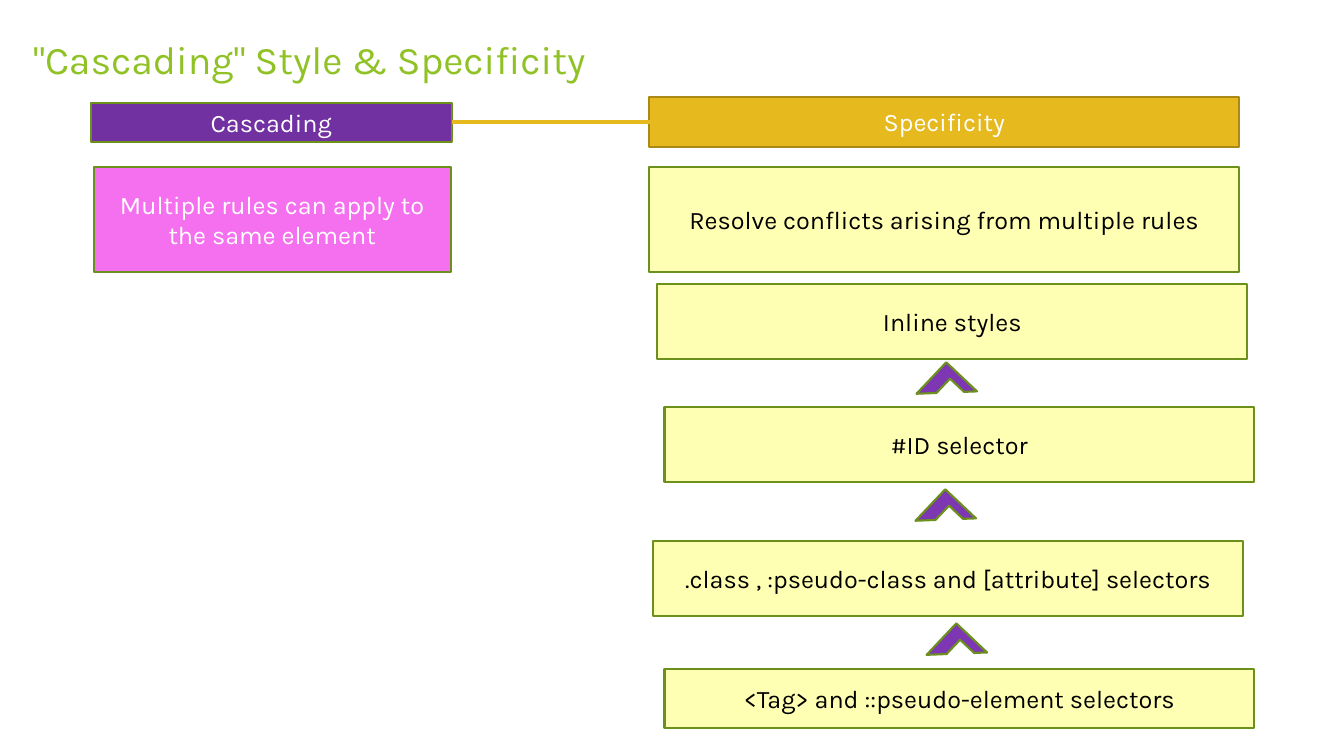
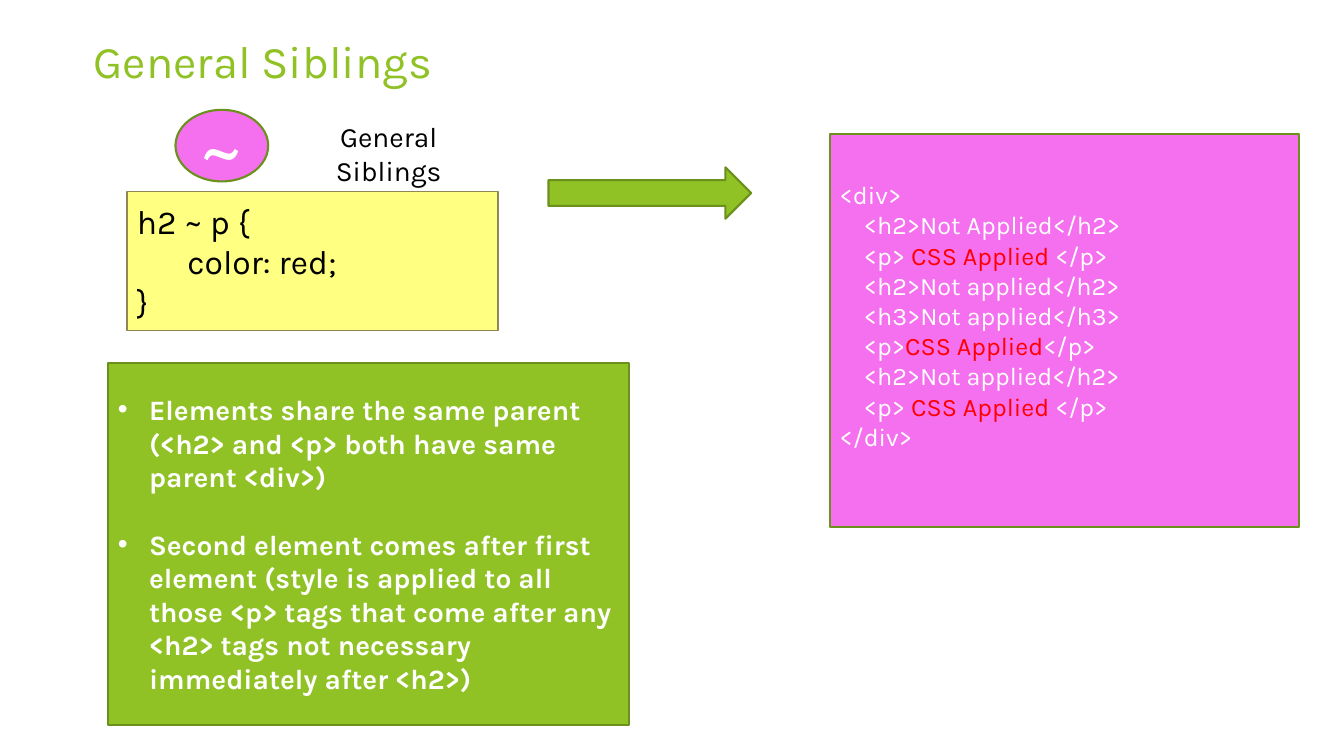
from lxml import etree
from pptx import Presentation
from pptx.dml.color import RGBColor
from pptx.enum.shapes import MSO_CONNECTOR as Connector, MSO_SHAPE as Shape
from pptx.enum.text import MSO_ANCHOR as Anchor, PP_ALIGN as Align
from pptx.oxml.ns import qn
from pptx.util import Inches, Pt

FONT = "Karla"
GREEN, MOSS, PURPLE, VIOLET = "90C226", "6B901C", "7131A1", "7E37B3"
PINK, GOLD, BRONZE, OLIVE = "F470EE", "E6B91E", "AA8916", "918655"
CREAM, LEMON = "FFFFB3", "FFFF81"
WHITE, BLACK, RED = "FFFFFF", "000000", "FF0000"

RIGHT_COLUMN, RIGHT_WIDTH = 6.44, 5.85
INTRO_TOP, INTRO_HEIGHT = 1.66, 1.04
LINK_Y = 1.21
CHEVRON_WIDTH, CHEVRON_HEIGHT, CHEVRON_TURN = 0.42, 0.43, 43.4
CHEVRON_ARMS = (0.22, 0.33)

HEADINGS = [
    ("Cascading", (0.9, 1.02, 3.58, 0.39), PURPLE, MOSS, WHITE),
    ("Multiple rules can apply to the same element",
     (0.93, INTRO_TOP, 3.54, INTRO_HEIGHT), PINK, MOSS, WHITE),
    ("Specificity", (RIGHT_COLUMN, 0.96, RIGHT_WIDTH, 0.5), GOLD, BRONZE, WHITE),
    ("Resolve conflicts arising from multiple rules",
     (RIGHT_COLUMN, INTRO_TOP, RIGHT_WIDTH, INTRO_HEIGHT), CREAM, MOSS, BLACK),
]
SELECTORS = [
    ("Inline styles", 6.52, 2.82, 0.74),
    ("#ID selector", 6.59, 4.04, 0.74),
    (".class , :pseudo-class and [attribute] selectors", 6.48, 5.37, 0.74),
    ("<Tag> and ::pseudo-element selectors", 6.59, 6.64, 0.58),
]
CHEVRONS = [(9.18, 3.68), (9.17, 4.94), (9.28, 6.27)]

RULE = [(0, ["h2 ~ p {"]), (0.5, ["color: red;"]), (0, ["}"])]
MARKUP = [
    (0, ["<div>"]),
    (0.24, ["<h2>Not Applied</h2>"]),
    (0.24, ["<p> ", "CSS Applied ", "</p>"]),
    (0.24, ["<h2>Not applied</h2>"]),
    (0.24, ["<h3>Not applied</h3>"]),
    (0.24, ["<p>", "CSS Applied", "</p>"]),
    (0.24, ["<h2>Not applied</h2>"]),
    (0.24, ["<p> ", "CSS Applied ", "</p>"]),
    (0, ["</div>"]),
]
CONDITIONS = [
    "Elements share the same parent (<h2> and <p> both have same parent <div>)",
    "Second element comes after first element (style is applied to all those <p> tags "
    "that come after any <h2> tags not necessary immediately after <h2>)",
]


def color(value):
    return RGBColor.from_string(value)


def inches(frame):
    return [Inches(length) for length in frame]


def style(span, size, ink, bold=False):
    span.font.name = FONT
    span.font.size = Pt(size)
    span.font.bold = bold
    span.font.color.rgb = color(ink)


def write(box, lines, size, ink, align=Align.LEFT, bold=False):
    frame = box.text_frame
    frame.word_wrap = True
    for index, (indent, parts) in enumerate(lines):
        para = frame.add_paragraph() if index else frame.paragraphs[0]
        para.alignment = align
        if indent:
            para._p.get_or_add_pPr().set("marL", str(Inches(indent)))
        for position, part in enumerate(parts):
            span = para.add_run()
            span.text = part
            style(span, size, RED if position == 1 else ink, bold)


def add_text(page, text, frame, size, ink, align=Align.LEFT):
    box = page.shapes.add_textbox(*inches(frame))
    write(box, [(0, [text])], size, ink, align)


def add_panel(page, kind, frame, fill, line=MOSS, width=1.5):
    panel = page.shapes.add_shape(kind, *inches(frame))
    panel.shadow.inherit = False
    panel.fill.solid()
    panel.fill.fore_color.rgb = color(fill)
    panel.line.color.rgb = color(line)
    panel.line.width = Pt(width)
    panel.text_frame.vertical_anchor = Anchor.MIDDLE
    return panel


def add_label(page, text, frame, fill, line, ink, kind=Shape.RECTANGLE, size=18):
    panel = add_panel(page, kind, frame, fill, line)
    write(panel, [(0, [text])], size, ink, Align.CENTER)


def add_link(page, start, end, y):
    link = page.shapes.add_connector(Connector.STRAIGHT, *inches((start, y, end, y)))
    link.line.color.rgb = color(GOLD)
    link.line.width = Pt(3)
    etree.SubElement(link._element.spPr, qn("a:effectLst"))


def add_chevron(page, left, top):
    frame = (left, top, CHEVRON_WIDTH, CHEVRON_HEIGHT)
    chevron = add_panel(page, Shape.HALF_FRAME, frame, VIOLET)
    chevron.rotation = CHEVRON_TURN
    for index, share in enumerate(CHEVRON_ARMS):
        chevron.adjustments[index] = share


def add_bullet(para, hang):
    props = para._p.get_or_add_pPr()
    props.set("indent", str(-Inches(hang)))
    etree.SubElement(props, qn("a:buFont")).set("typeface", "Arial")
    etree.SubElement(props, qn("a:buChar")).set("char", "•")


def add_page(deck, title, frame, size):
    page = deck.slides.add_slide(deck.slide_layouts[6])
    add_text(page, title, frame, size, GREEN)
    return page


def build_specificity(deck):
    page = add_page(deck, '"Cascading" Style & Specificity', (0.23, 0.3, 9.91, 0.81), 28)
    for heading in HEADINGS:
        add_label(page, *heading)
    add_link(page, 4.48, 6.48, LINK_Y)
    for text, left, top, height in SELECTORS:
        add_label(page, text, (left, top, RIGHT_WIDTH, height), CREAM, MOSS, BLACK)
    for left, top in CHEVRONS:
        add_chevron(page, left, top)


def build_siblings(deck):
    page = add_page(deck, "General Siblings", (0.83, 0.28, 9.4, 0.68), 32.4)
    add_label(page, "~", (1.74, 1.09, 0.92, 0.71), PINK, MOSS, WHITE, Shape.OVAL, 60)

    rule = add_panel(page, Shape.RECTANGLE, (1.26, 1.9, 3.68, 1.38), LEMON, OLIVE, 1)
    write(rule, RULE, 24, BLACK)
    add_text(page, "General Siblings", (2.75, 1.14, 2.21, 0.44), 20, BLACK, Align.CENTER)
    add_panel(page, Shape.RIGHT_ARROW, (5.44, 1.66, 2.01, 0.51), GREEN)

    markup = add_panel(page, Shape.RECTANGLE, (8.23, 1.33, 4.65, 3.9), PINK)
    markup.text_frame.margin_bottom = Inches(0.35)
    write(markup, MARKUP, 18, WHITE)

    hang = 0.31
    conditions = add_panel(page, Shape.RECTANGLE, (1.07, 3.6, 5.17, 3.59), GREEN)
    write(conditions, [(hang, [text]) for text in CONDITIONS], 20, WHITE, bold=True)
    for index, para in enumerate(conditions.text_frame.paragraphs):
        para.space_before = Pt(24 * index)
        add_bullet(para, hang)


def main():
    deck = Presentation()
    deck.slide_width, deck.slide_height = inches((13.33, 7.5))
    build_specificity(deck)
    build_siblings(deck)
    deck.save("out.pptx")


if __name__ == "__main__":
    main()
